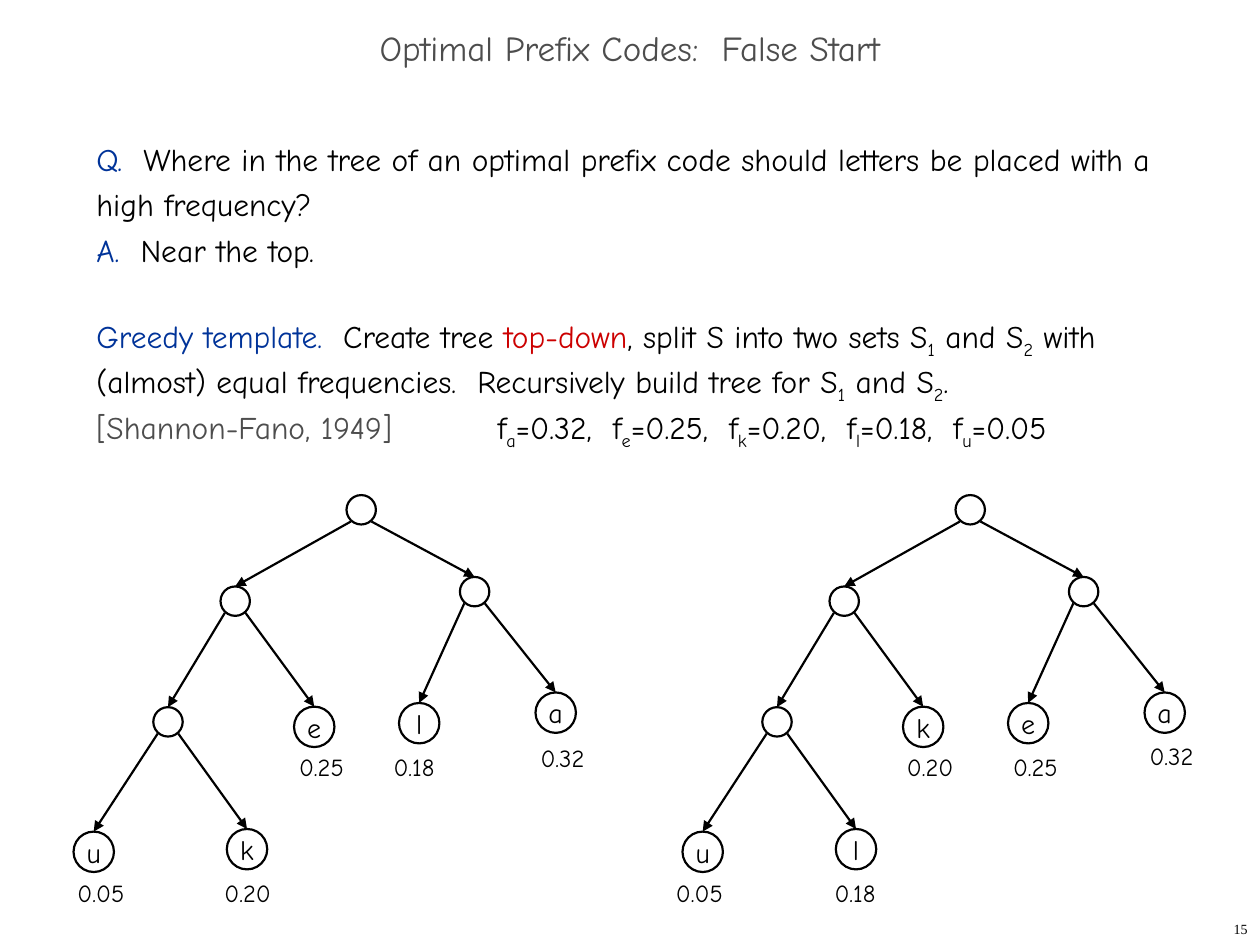
from lxml import etree
from pptx import Presentation
from pptx.dml.color import RGBColor
from pptx.enum.shapes import MSO_CONNECTOR, MSO_SHAPE
from pptx.enum.text import MSO_ANCHOR, PP_ALIGN
from pptx.oxml.ns import qn
from pptx.util import Inches, Pt

BLACK = RGBColor(0, 0, 0)
GRAY = RGBColor(0x4D, 0x4D, 0x4D)
BLUE = RGBColor(0, 0x33, 0x99)
RED = RGBColor(0xCC, 0, 0)
OVAL = MSO_SHAPE.OVAL
LINE = MSO_CONNECTOR.STRAIGHT
MID = MSO_ANCHOR.MIDDLE
LEFT, CENTER, RIGHT = PP_ALIGN.LEFT, PP_ALIGN.CENTER, PP_ALIGN.RIGHT
FONT = "Comic Neue"

deck = Presentation()
deck.slide_width, deck.slide_height = Inches(10), Inches(7.5)
slide = deck.slides.add_slide(deck.slide_layouts[6])
shapes = slide.shapes
CELL = deck.slide_width // 120


def style(run, size, color=BLACK, face=FONT):
    run.font.size = Pt(size)
    run.font.name = face
    run.font.color.rgb = color


def label(text, col, row, wide, high, size, color=BLACK, align=LEFT, face=FONT, wrap=True):
    box = shapes.add_textbox(*(int(n * CELL) for n in (col, row, wide, high)))
    frame = box.text_frame
    frame.text = text
    frame.word_wrap = wrap
    para = frame.paragraphs[0]
    para.alignment = align
    style(para.runs[0], size, color, face)
    return frame


title = label("Optimal Prefix Codes:  False Start", 0, 2, 120, 6, 20, GRAY, CENTER)
title.vertical_anchor = MID
title.paragraphs[0].line_spacing = 0.7

SUB = "sub"
body = [
    (0, [("Q.  ", BLUE), ("Where in the tree of an optimal prefix code should letters "
                          "be placed with a high frequency?", BLACK)]),
    (0, [("A.  ", BLUE), ("Near the top.", BLACK)]),
    (26, [("Greedy template.  ", BLUE), ("Create tree ", BLACK), ("top-down", RED),
          (", split S into two sets S", BLACK), ("1", SUB), (" and S", BLACK), ("2", SUB),
          (" with (almost) equal frequencies.  Recursively build tree for S", BLACK),
          ("1", SUB), (" and S", BLACK), ("2", SUB), (".", BLACK)]),
    (0, [("[Shannon-Fano, 1949]\t", GRAY), ("f", BLACK), ("a", SUB), ("=0.32,  f", BLACK),
         ("e", SUB), ("=0.25,  f", BLACK), ("k", SUB), ("=0.20,  f", BLACK), ("l", SUB),
         ("=0.18,  f", BLACK), ("u", SUB), ("=0.05", BLACK)]),
]
area = shapes.add_textbox(8 * CELL, 12 * CELL, 105 * CELL, 71 * CELL).text_frame
area.word_wrap = True
for i, (gap, parts) in enumerate(body):
    para = area.paragraphs[0] if i == 0 else area.add_paragraph()
    if parts[0][0].endswith("\t"):
        tabs = etree.SubElement(para._p.get_or_add_pPr(), qn("a:tabLst"))
        etree.SubElement(tabs, qn("a:tab"), pos=str(int(38.2 * CELL)), algn="l")
    para.line_spacing = Pt(26)
    para.space_before = Pt(gap)
    for text, tone in parts:
        run = para.add_run()
        run.text = text
        style(run, 18, BLACK if tone == SUB else tone)
        if tone == SUB:
            run.font._element.set("baseline", "-25000")

SMALL, BIG = 2.8, 3.85
spots = {
    "root": (33, 47.15), "west": (21, 55.85), "east": (43.8, 54.95), "low": (14.6, 67.35),
    "A": (28, 67.3), "B": (38, 66.95), "C": (51, 65.95), "D": (7, 79.2), "E": (21.6, 78.95),
}
edges = [("root", "west"), ("root", "east"), ("west", "low"), ("west", "A"),
         ("east", "B"), ("east", "C"), ("low", "D"), ("low", "E")]
trees = [
    (0, {"A": ("e", "0.25", 27.3, 71), "B": ("l", "0.18", 36.3, 71),
         "C": ("a", "0.32", 50.3, 70.2), "D": ("u", "0.05", 6.2, 83),
         "E": ("k", "0.20", 20.2, 83)}),
    (58, {"A": ("k", "0.20", 27.2, 71), "B": ("e", "0.25", 37.3, 71),
          "C": ("a", "0.32", 50.3, 70), "D": ("u", "0.05", 5.2, 83),
          "E": ("l", "0.18", 20.3, 83)}),
]
for shift, leaves in trees:
    nodes = {}
    for name, (col, row) in spots.items():
        size = int((BIG if name in leaves else SMALL) * CELL)
        node = shapes.add_shape(OVAL, int((col + shift) * CELL), int(row * CELL), size, size)
        node.shadow.inherit = False
        node.fill.background()
        node.line.color.rgb = BLACK
        node.line.width = Pt(1.25)
        nodes[name] = node
        if name in leaves:
            letter, freq, left, top = leaves[name]
            frame = node.text_frame
            frame.text = letter
            frame.word_wrap = False
            frame.vertical_anchor = MID
            frame.paragraphs[0].alignment = CENTER
            style(frame.paragraphs[0].runs[0], 16)
            label(freq, left + shift, top, 7.4, 4, 14, wrap=False)
    for start, end in edges:
        top, kid = nodes[start], nodes[end]
        side = 0.15 if spots[end][0] < spots[start][0] else 0.85
        edge = shapes.add_connector(LINE, top.left + int(side * top.width),
                                    top.top + int(0.9 * top.height), kid.left, kid.top)
        edge.end_connect(kid, 0)
        edge.line.color.rgb = BLACK
        edge.line.width = Pt(1.25)
        etree.SubElement(edge.line._get_or_add_ln(), qn("a:tailEnd"), type="triangle")
        etree.SubElement(edge._element.spPr, qn("a:effectLst"))

page = label("15", 95, 87, 25, 3, 8, align=RIGHT, face="Times New Roman")
page.vertical_anchor = MID

deck.save("out.pptx")
